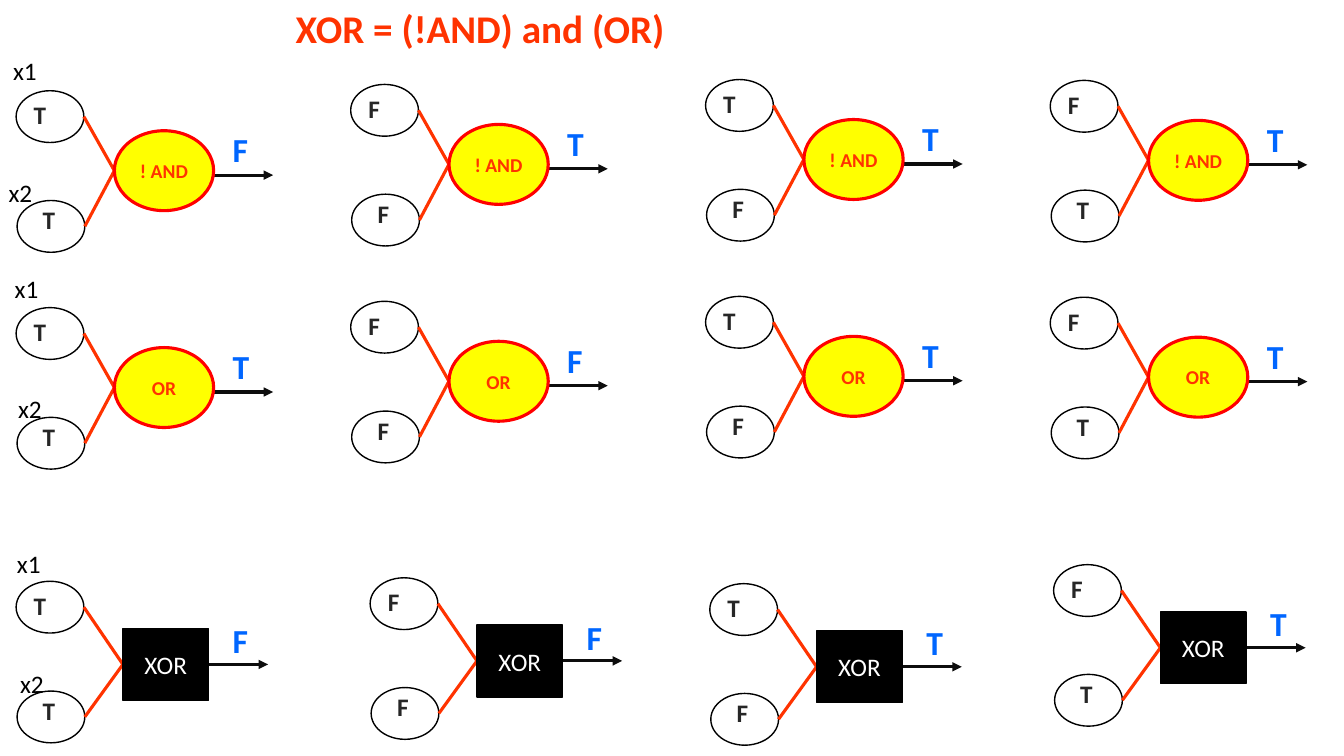
from dataclasses import dataclass
from typing import Callable, NamedTuple

from lxml import etree
from pptx import Presentation, dml, util as u
from pptx.dml import color
from pptx.enum import shapes, text
from pptx.oxml import ns


@dataclass(frozen=True)
class Theme:
    font: str = "Calibri"
    black: str = "000000"
    white: str = "FFFFFF"
    ink: str = "262626"
    arrow: str = "0D0D0D"
    wire: str = "FF3300"
    rim: str = "FF0000"
    fill: str = "FFFF00"
    blue: str = "0066FF"
    title: int = 28
    result: int = 24
    label: int = 18
    small: int = 14
    thin: float = 1
    thick: float = 2.25


class Box(NamedTuple):
    x: float
    y: float
    w: float
    h: float

    def shift(self, x: float, y: float) -> "Box":
        return Box(self.x + x, self.y + y, self.w, self.h)


@dataclass(frozen=True)
class Style:
    size: int
    tint: str
    bold: bool = True
    align: text.PP_ALIGN = text.PP_ALIGN.LEFT


@dataclass(frozen=True)
class Gate:
    name: str
    rule: Callable[[bool, bool], bool]
    form: shapes.MSO_SHAPE
    body: Box
    fill: str
    rim: str
    width: float
    style: Style
    join: float
    exit: float
    spots: list[tuple[float, float]]


T = Theme()
MID = text.PP_ALIGN.CENTER
OVAL = shapes.MSO_SHAPE.OVAL
SPOTS = [(11.5, 64.8), (250.5, 60.3), (504, 56.8), (750.2, 57.4)]
CASES = [(True, True), (False, False), (True, False), (False, True)]
ROUND = Box(70.2, 28.6, 70.9, 57.1)
RED = Style(T.small, T.wire, True, MID)
DROP = 154.9

GATES = [
    Gate("! AND", lambda a, b: not (a and b), OVAL, ROUND, T.fill, T.rim,
         T.thick, RED, 57.1, 60.3, SPOTS),
    Gate("OR", lambda a, b: a or b, OVAL, ROUND, T.fill, T.rim,
         T.thick, RED, 57.1, 60.3, [(x, y + DROP) for x, y in SPOTS]),
    Gate("XOR", lambda a, b: a != b, shapes.MSO_SHAPE.RECTANGLE,
         Box(76.3, 33.8, 61.2, 51.3), T.black, T.black, T.thin,
         Style(T.label, T.white, False, MID), 59.4, 59.4,
         [(11.5, 415.2), (264.4, 412.7), (507, 416.9), (752.6, 403.3)]),
]
NODES = [Box(0, 0, 48.4, 37), Box(0.7, 78.4, 48.4, 37)]
MARKS = [(Box(5.5, 2.6, 24, 29.1), text.PP_ALIGN.LEFT),
         (Box(11.3, 77.8, 24, 29.1), MID)]
RESULT = Box(147.6, 24.1, 45, 36.4)
REACH = 42.5
LABELS = [("x1", 2.2, 36), ("x2", -1, 123.3), ("x1", 3.4, 191.7),
          ("x2", 5.8, 277.4), ("x1", 5, 388.3), ("x2", 7.2, 474)]


def tone(code: str) -> color.RGBColor:
    return color.RGBColor.from_string(code)


def place(box: Box) -> list[u.Length]:
    return [u.Pt(v) for v in box]


def write(frame, words: str, style: Style) -> None:
    frame.text = words
    para = frame.paragraphs[0]
    para.alignment = style.align
    for run in para.runs:
        run.font.name = T.font
        run.font.size = u.Pt(style.size)
        run.font.bold = style.bold
        run.font.color.rgb = tone(style.tint)


def note(page, box: Box, words: str, style: Style, wrap: bool = True) -> None:
    frame = page.shapes.add_textbox(*place(box)).text_frame
    write(frame, words, style)
    frame.word_wrap = wrap
    frame.auto_size = text.MSO_AUTO_SIZE.SHAPE_TO_FIT_TEXT


def block(page, form: shapes.MSO_SHAPE, box: Box, rim: str, width: float,
          fill: str | None = None):
    item = page.shapes.add_shape(form, *place(box))
    item.shadow.inherit = False
    if fill:
        item.fill.solid()
        item.fill.fore_color.rgb = tone(fill)
    else:
        item.fill.background()
    item.line.color.rgb = tone(rim)
    item.line.width = u.Pt(width)
    return item


def link(page, start: tuple[float, float], end: tuple[float, float],
         tint: str, head: bool = False) -> None:
    line = page.shapes.add_connector(
        shapes.MSO_CONNECTOR.STRAIGHT, *[u.Pt(v) for v in (*start, *end)])
    line.line.color.rgb = tone(tint)
    line.line.width = u.Pt(T.thick)
    props = line._element.spPr
    if head:
        etree.SubElement(props.find(ns.qn("a:ln")), ns.qn("a:tailEnd"),
                         type="triangle")
    etree.SubElement(props, ns.qn("a:effectLst"))


def letter(value: bool) -> str:
    return "T" if value else "F"


def draw(page, gate: Gate, x: float, y: float, case: tuple[bool, bool]) -> None:
    body = gate.body.shift(x, y)
    for node, (mark, align), value in zip(NODES, MARKS, case):
        spot = node.shift(x, y)
        block(page, OVAL, spot, T.black, T.thin)
        note(page, mark.shift(x, y), letter(value),
             Style(T.label, T.ink, align=align), wrap=False)
        link(page, (spot.x + spot.w, spot.y + spot.h / 2),
             (body.x, y + gate.join), T.wire)
    right = body.x + body.w
    link(page, (right, y + gate.exit), (right + REACH, y + gate.exit),
         T.arrow, head=True)
    note(page, RESULT.shift(x, y), letter(gate.rule(*case)),
         Style(T.result, T.blue))
    item = block(page, gate.form, body, gate.rim, gate.width, gate.fill)
    write(item.text_frame, gate.name, gate.style)
    item.text_frame.word_wrap = False
    item.text_frame.vertical_anchor = text.MSO_ANCHOR.MIDDLE


def main() -> None:
    deck = Presentation()
    deck.slide_width, deck.slide_height = u.Pt(960), u.Pt(540)
    page = deck.slides.add_slide(deck.slide_layouts[5])
    title = page.shapes.title
    title.left, title.top, title.width, title.height = place(
        Box(204, -0.5, 335.5, 41.2))
    frame = title.text_frame
    write(frame, "XOR = (!AND) and (OR)", Style(T.title, T.wire))
    frame.word_wrap = True
    frame.auto_size = text.MSO_AUTO_SIZE.NONE
    frame.vertical_anchor = text.MSO_ANCHOR.TOP
    for gate in GATES:
        for (x, y), case in zip(gate.spots, CASES):
            draw(page, gate, x, y, case)
    for words, x, y in LABELS:
        note(page, Box(x, y, 42.5, 29.1), words, Style(T.label, T.black, False))
    deck.save("out.pptx")


if __name__ == "__main__":
    main()
